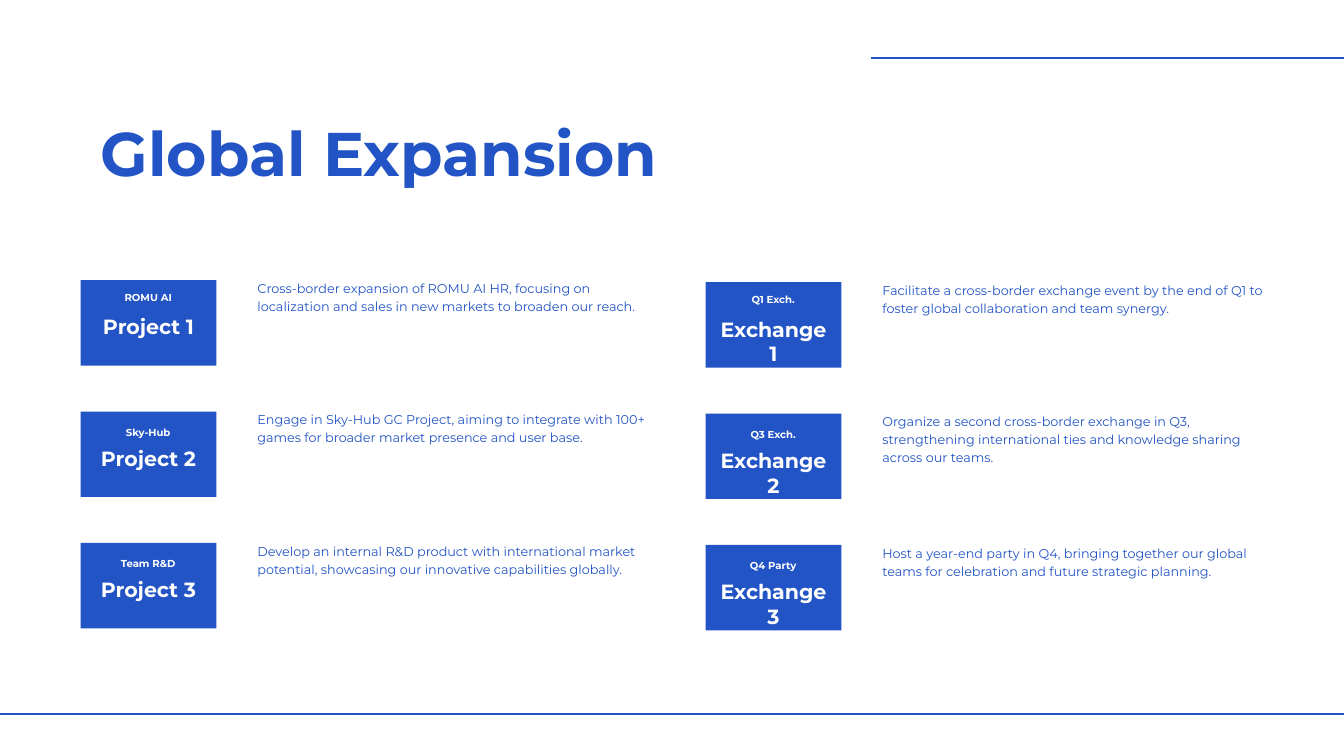
from dataclasses import dataclass
from typing import Any

from lxml.etree import SubElement
from pptx import Presentation
from pptx.dml.color import RGBColor
from pptx.enum.shapes import MSO_CONNECTOR, MSO_SHAPE
from pptx.enum.text import MSO_AUTO_SIZE, PP_ALIGN
from pptx.oxml.ns import qn
from pptx.util import Inches, Pt


@dataclass(frozen=True)
class Theme:
    font: str = "Montserrat"
    blue: RGBColor = RGBColor(0x22, 0x54, 0xC5)
    white: RGBColor = RGBColor(0xFF, 0xFF, 0xFF)
    title: float = 66
    heading: float = 22
    body: float = 13.7
    label: float = 10.8
    rule: float = 2.25


@dataclass(frozen=True)
class Item:
    label: str
    heading: str
    description: str


@dataclass(frozen=True)
class Column:
    left: float
    top: float
    items: tuple[Item, ...]


THEME = Theme()
ROW_STEP = 1.955
CARD_W, CARD_H = 2.02, 1.27

COLUMNS = (
    Column(10.5, 4.2, (
        Item("Q1 Exch.", "Exchange 1",
             "Facilitate a cross-border exchange event by the end of Q1 to "
             "foster global collaboration and team synergy."),
        Item("Q3 Exch.", "Exchange 2",
             "Organize a second cross-border exchange in Q3, strengthening "
             "international ties and knowledge sharing across our teams."),
        Item("Q4 Party", "Exchange 3",
             "Host a year-end party in Q4, bringing together our global teams "
             "for celebration and future strategic planning."),
    )),
    Column(1.2, 4.17, (
        Item("ROMU AI", "Project 1",
             "Cross-border expansion of ROMU AI HR, focusing on localization "
             "and sales in new markets to broaden our reach."),
        Item("Sky-Hub", "Project 2",
             "Engage in Sky-Hub GC Project, aiming to integrate with 100+ "
             "games for broader market presence and user base."),
        Item("Team R&D", "Project 3",
             "Develop an internal R&D product with international market "
             "potential, showcasing our innovative capabilities globally."),
    )),
)


def set_attrs(target: Any, values: dict[str, Any]) -> None:
    for name, value in values.items():
        setattr(target, name, value)


def add_text(s: Any, text: str, left: float, top: float, width: float,
             height: float, size: float, color: RGBColor, bold: bool = False,
             align: PP_ALIGN = PP_ALIGN.LEFT,
             spacing: float | None = None) -> None:
    """Add a one-paragraph text box without insets; spacing is in points."""
    tf = s.shapes.add_textbox(Inches(left), Inches(top),
                              Inches(width), Inches(height)).text_frame
    set_attrs(tf, {"word_wrap": True, "auto_size": MSO_AUTO_SIZE.SHAPE_TO_FIT_TEXT,
                   "margin_left": 0, "margin_top": 0,
                   "margin_right": 0, "margin_bottom": 0})
    p = tf.paragraphs[0]
    p.alignment = align
    if spacing:
        p.line_spacing = Pt(spacing)
    r = p.add_run()
    r.text = text
    set_attrs(r.font, {"name": THEME.font, "size": Pt(size), "bold": bold})
    r.font.color.rgb = color


def add_rule(s: Any, start: float, end: float, y: float) -> None:
    sp = s.shapes.add_connector(MSO_CONNECTOR.STRAIGHT, Inches(start), Inches(y),
                                Inches(end), Inches(y))
    sp.line.color.rgb = THEME.blue
    sp.line.width = Pt(THEME.rule)
    SubElement(sp._element.spPr, qn("a:effectLst"))


def add_item(s: Any, item: Item, left: float, top: float, label_gap: float) -> None:
    """Draw a filled card with its label and heading, and the text beside it."""
    sp = s.shapes.add_shape(MSO_SHAPE.RECTANGLE, Inches(left), Inches(top),
                            Inches(CARD_W), Inches(CARD_H))
    sp.shadow.inherit = False
    sp.fill.solid()
    sp.fill.fore_color.rgb = THEME.blue
    sp.line.fill.background()
    add_text(s, item.heading, left + 0.15, top + 0.51, 1.72, 0.74, THEME.heading,
             THEME.white, bold=True, align=PP_ALIGN.CENTER)
    add_text(s, item.label, left + 0.06, top + label_gap, 1.89, 0.2, THEME.label,
             THEME.white, bold=True, align=PP_ALIGN.CENTER, spacing=15.1)
    add_text(s, item.description, left + 2.63, top - 0.03, 5.88, 0.25, THEME.body,
             THEME.blue, spacing=19.2)


def main() -> None:
    prs = Presentation()
    prs.slide_width, prs.slide_height = Inches(20), Inches(11.25)
    s = prs.slides.add_slide(prs.slide_layouts[6])
    s.background.fill.solid()
    s.background.fill.fore_color.rgb = THEME.white

    add_text(s, "Global Expansion", 1.5, 1.71, 10.76, 1.11, THEME.title,
             THEME.blue, bold=True)
    for column in COLUMNS:
        for row, item in enumerate(column.items):
            add_item(s, item, column.left, column.top + row * ROW_STEP,
                     label_gap=0.19 if row else 0.13)
    add_rule(s, -1.12, 21.24, 10.63)
    add_rule(s, 12.96, 20.53, 0.87)
    prs.save("out.pptx")


if __name__ == "__main__":
    main()
